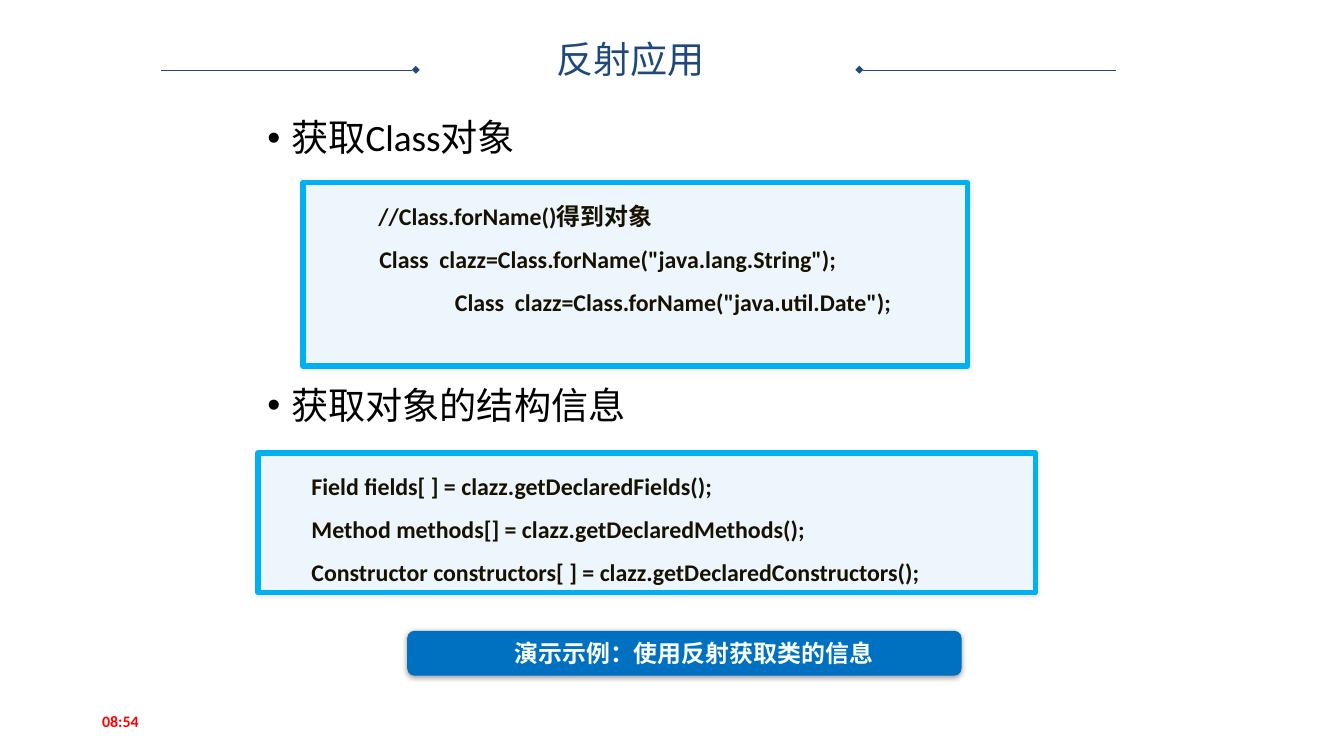
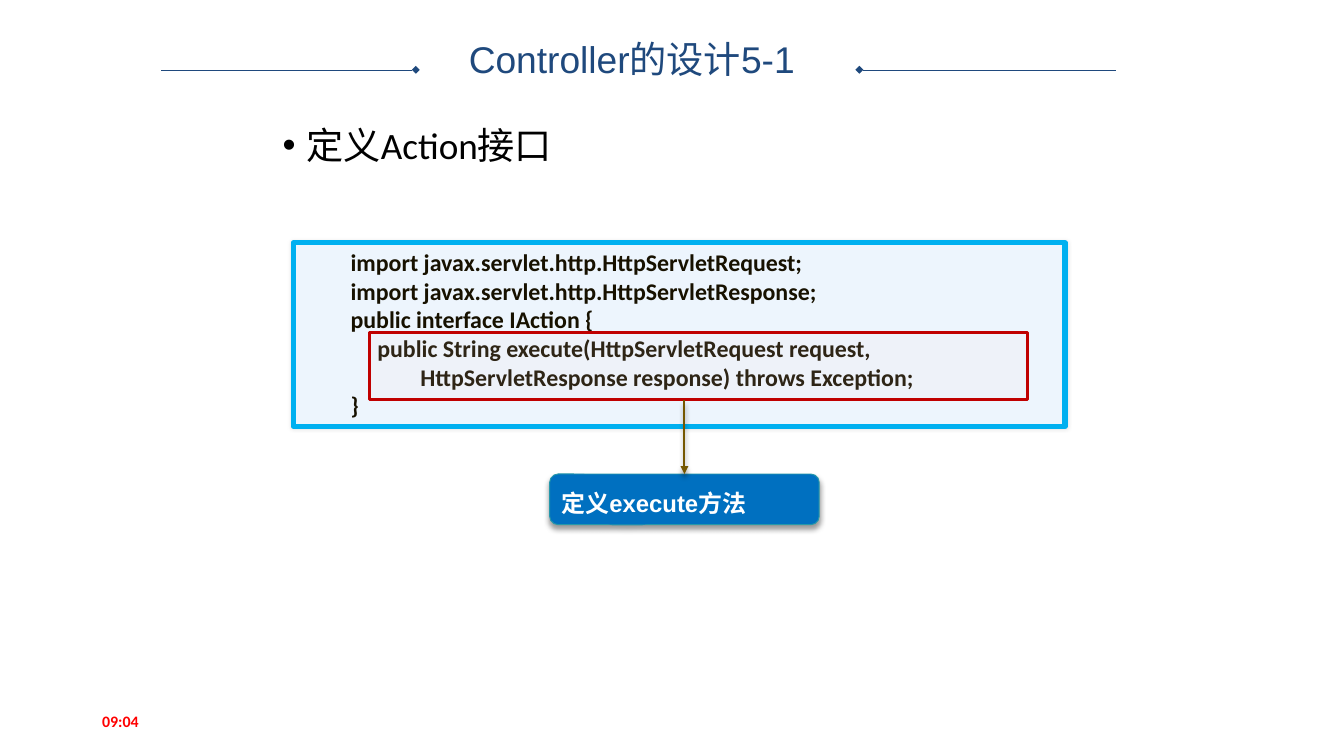
from lxml.etree import SubElement
from pptx import Presentation
from pptx.dml.color import RGBColor
from pptx.enum.shapes import MSO_CONNECTOR, MSO_SHAPE
from pptx.enum.text import MSO_ANCHOR, MSO_AUTO_SIZE, PP_ALIGN
from pptx.oxml.ns import qn
from pptx.util import Inches, Pt

COLORS = {
    "navy": "1F497D", "red": "FF0000", "black": "000000", "code": "171100",
    "code_fill": "EDF5FD", "code_edge": "00B0F0", "blue": "0070C0",
    "teal": "2598AA", "white": "FFFFFF", "pale": "FBFFFE", "shade": "262626",
    "pink": "FFDDDD", "crimson": "C00000", "brown": "755700",
}
FONTS = {
    "title": ({"name": "Arial", "size": Pt(28), "bold": False}, "navy"),
    "bullet": ({"name": "Calibri", "size": Pt(28), "bold": False}, "black"),
    "code": ({"name": "Calibri", "size": Pt(18), "bold": True}, "code"),
    "clock": ({"name": "Calibri", "size": Pt(12), "bold": True}, "red"),
    "demo": ({"name": "Calibri", "size": Pt(18), "bold": True}, "pale"),
    "callout": ({"name": "Arial", "size": Pt(18), "bold": True}, "white"),
}
CODE_SHADOW = ("black", 10, 3, 0, 0)
DEMO_SHADOW = ("shade", 43, 4, 1, 90)
CALLOUT_SHADOW = ("black", 40, 4, 3, 90)
RULE_Y = 0.73
RULES = [(4.35, 1.68), (8.99, 11.67)]


def rgb(color):
    return RGBColor.from_string(COLORS[color])


def apply(target, values):
    for name, value in values.items():
        setattr(target, name, value)


def write(paragraph, text, style, **layout):
    run = paragraph.add_run()
    run.text = text
    values, color = FONTS[style]
    apply(run.font, values)
    run.font.color.rgb = rgb(color)
    apply(paragraph, {"alignment": PP_ALIGN.LEFT, **layout})


def indent(paragraph, left, first=0):
    properties = paragraph._p.get_or_add_pPr()
    properties.set("marL", str(Inches(left)))
    properties.set("indent", str(Inches(first)))
    return properties


def add_shadow(element, color, alpha, blur, distance, angle):
    effects = element.spPr.find(qn("a:effectLst"))
    shadow = SubElement(effects, qn("a:outerShdw"), blurRad=str(Pt(blur)),
                        dist=str(Pt(distance)), dir=str(angle * 60000),
                        algn="ctr", rotWithShape="0")
    tint = SubElement(shadow, qn("a:srgbClr"), val=COLORS[color])
    SubElement(tint, qn("a:alpha"), val=str(alpha * 1000))


def add_text(slide, box, anchor=MSO_ANCHOR.TOP):
    frame = slide.shapes.add_textbox(*map(Inches, box)).text_frame
    apply(frame, {"word_wrap": True, "vertical_anchor": anchor})
    return frame.paragraphs[0]


def add_panel(slide, preset, box, fill, edge=None, width=0, shadow=None, adjustments=()):
    panel = slide.shapes.add_shape(preset, *map(Inches, box))
    for index, value in enumerate(adjustments):
        panel.adjustments[index] = value
    panel.fill.solid()
    panel.fill.fore_color.rgb = rgb(fill)
    if edge:
        panel.line.color.rgb = rgb(edge)
        panel.line.width = Pt(width)
    else:
        panel.line.fill.background()
    panel.shadow.inherit = False
    if shadow:
        add_shadow(panel.element, *shadow)
    return panel


def add_line(slide, start, end, color, width, marker, shape, shadow=None):
    line = slide.shapes.add_connector(MSO_CONNECTOR.STRAIGHT, *map(Inches, start + end))
    line.line.color.rgb = rgb(color)
    line.line.width = Pt(width)
    properties = line.element.spPr
    SubElement(properties.find(qn("a:ln")), qn(marker), type=shape)
    SubElement(properties, qn("a:effectLst"))
    if shadow:
        add_shadow(line.element, *shadow)
    return line


def add_page(deck, title, time):
    slide = deck.slides.add_slide(deck.slide_layouts[5])
    heading = slide.shapes.title
    apply(heading, dict(zip(("left", "top", "width", "height"),
                            map(Inches, (3.49, 0.41, 6.13, 0.47)))))
    apply(heading.text_frame, {"auto_size": MSO_AUTO_SIZE.NONE, "word_wrap": True,
                               "vertical_anchor": MSO_ANCHOR.MIDDLE})
    write(heading.text_frame.paragraphs[0], title, "title",
          alignment=PP_ALIGN.CENTER, line_spacing=0.9)
    for inner, outer in RULES:
        add_line(slide, (inner, RULE_Y), (outer, RULE_Y), "navy", 0.25,
                 "a:headEnd", "diamond")
    write(add_text(slide, (0.97, 7.33, 3.16, 0.42), MSO_ANCHOR.MIDDLE), time, "clock")
    return slide


def add_bullet(slide, left, top, text):
    paragraph = add_text(slide, (left, top, 8.36, 0.6))
    write(paragraph, text, "bullet", line_spacing=0.9)
    properties = indent(paragraph, 0.25, -0.25)
    SubElement(properties, qn("a:buFont"), typeface="Arial")
    SubElement(properties, qn("a:buChar"), char="•")


def add_code(slide, box, lines, spacing):
    panel = add_panel(slide, MSO_SHAPE.ROUNDED_RECTANGLE, box, "code_fill",
                      "code_edge", 4, CODE_SHADOW, [0])
    frame = panel.text_frame
    apply(frame, {"word_wrap": True, "vertical_anchor": MSO_ANCHOR.TOP})
    for number, (left, text) in enumerate(lines):
        paragraph = frame.add_paragraph() if number else frame.paragraphs[0]
        write(paragraph, text, "code", line_spacing=spacing)
        indent(paragraph, left)


def build_reflection(deck):
    slide = add_page(deck, " 反射应用", "08:54")
    add_bullet(slide, 2.7, 1.2, "获取Class对象")
    add_bullet(slide, 2.7, 4, "获取对象的结构信息")
    add_code(slide, (3.17, 1.91, 6.95, 1.92), [
        (0.69, "//Class.forName()得到对象"),
        (0.7, 'Class  clazz=Class.forName("java.lang.String");'),
        (1.49, 'Class  clazz=Class.forName("java.util.Date");'),
    ], 1.5)
    add_code(slide, (2.7, 4.74, 8.13, 1.46), [
        (0.46, "Field fields[ ] = clazz.getDeclaredFields();"),
        (0.46, "Method methods[] = clazz.getDeclaredMethods();"),
        (0.46, "Constructor constructors[ ] = clazz.getDeclaredConstructors();"),
    ], 1.5)
    demo = add_panel(slide, MSO_SHAPE.FLOWCHART_ALTERNATE_PROCESS,
                     (4.26, 6.6, 5.8, 0.47), "blue", shadow=DEMO_SHADOW)
    apply(demo.text_frame, {"margin_left": Inches(1.1), "word_wrap": True,
                            "vertical_anchor": MSO_ANCHOR.MIDDLE})
    write(demo.text_frame.paragraphs[0], "演示示例：使用反射获取类的信息", "demo")


def build_controller(deck):
    slide = add_page(deck, " Controller的设计5-1", "09:04")
    add_bullet(slide, 2.86, 1.28, "定义Action接口")
    add_code(slide, (3.07, 2.54, 8.07, 1.92), [
        (0.5, "import javax.servlet.http.HttpServletRequest;"),
        (0.5, "import javax.servlet.http.HttpServletResponse;"),
        (0.5, "public interface IAction {"),
        (0.78, "public String execute(HttpServletRequest request,"),
        (1.23, "HttpServletResponse response) throws Exception;"),
        (0.5, "}"),
    ], 1.0)
    callout = add_panel(slide, MSO_SHAPE.ROUNDED_RECTANGULAR_CALLOUT,
                        (5.75, 4.96, 2.82, 0.53), "blue", "teal", 0.75,
                        CALLOUT_SHADOW, [-0.215, 0.504, 0.167])
    apply(callout.text_frame, {"word_wrap": False, "vertical_anchor": MSO_ANCHOR.BOTTOM})
    write(callout.text_frame.paragraphs[0], "定义execute方法", "callout")
    highlight = add_panel(slide, MSO_SHAPE.RECTANGLE, (3.87, 3.48, 6.88, 0.7),
                          "pink", "crimson", 2.25)
    tint = highlight.element.spPr.find(qn("a:solidFill")).find(qn("a:srgbClr"))
    SubElement(tint, qn("a:alpha"), val="10000")
    arrow = add_line(slide, (7.16, 4.19), (7.16, 4.96), "brown", 1.5,
                     "a:tailEnd", "triangle", CALLOUT_SHADOW)
    arrow.end_connect(callout, 0)


def main():
    deck = Presentation()
    apply(deck, {"slide_width": Inches(14.06), "slide_height": Inches(7.91)})
    build_reflection(deck)
    build_controller(deck)
    deck.save("out.pptx")


if __name__ == "__main__":
    main()
